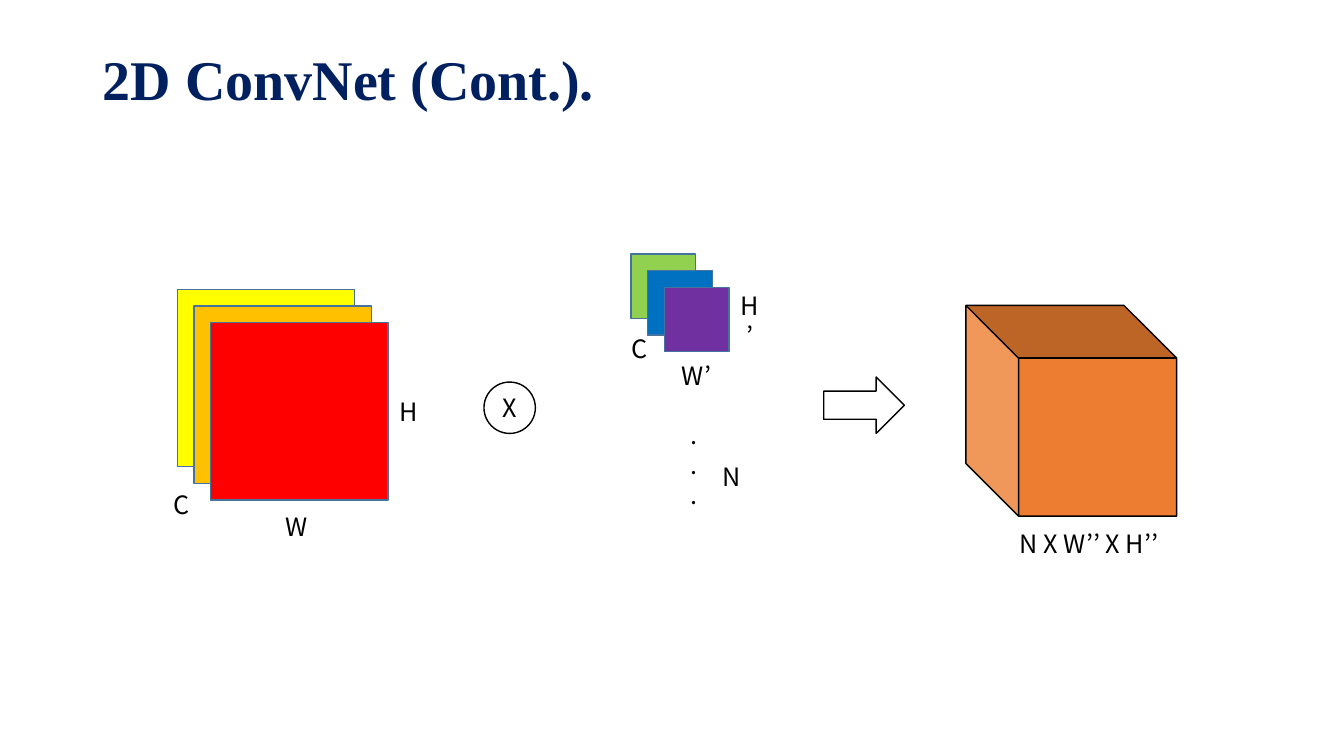
from pptx import Presentation
from pptx.dml.color import RGBColor
from pptx.enum.shapes import MSO_SHAPE as Preset
from pptx.enum.text import MSO_ANCHOR as Anchor, MSO_AUTO_SIZE as AutoSize, PP_ALIGN as Align
from pptx.util import Inches, Pt

COLORS = {
    "title": "002060", "ink": "000000", "edge": "43739E", "volume": "ED7D31",
    "yellow": "FFFF00", "amber": "FFC000", "red": "FF0000",
    "green": "92D050", "blue": "0070C0", "purple": "7030A0",
}
TITLE_FONT = "Times New Roman"
LABEL_FONT = "Noto Sans CJK KR"
LAYER_STEP = 0.165
LABEL_HEIGHT = 0.36


def color(name):
    """Return the palette colour with this name."""
    return RGBColor.from_string(COLORS[name])


def add_run(paragraph, wording, font, size, ink, bold=False):
    """Append one formatted run to a paragraph."""
    run = paragraph.add_run()
    run.text = wording
    run.font.name = font
    run.font.size = Pt(size)
    run.font.bold = bold
    run.font.color.rgb = color(ink)


def write_lines(frame, lines):
    """Write centred label lines into a text frame."""
    frame.word_wrap = True
    frame.vertical_anchor = Anchor.MIDDLE
    for index, line in enumerate(lines):
        paragraph = frame.add_paragraph() if index else frame.paragraphs[0]
        paragraph.alignment = Align.CENTER
        paragraph.line_spacing = Pt(21.6)
        add_run(paragraph, line, LABEL_FONT, 18, "ink")


def add_label(slide, box, *lines):
    """Place a label in a box given in inches."""
    label = slide.shapes.add_textbox(*map(Inches, box))
    write_lines(label.text_frame, lines)


def add_outlined(slide, preset, box, edge="ink", fill=None):
    """Place a preset shape with a thin outline and an optional fill."""
    shape = slide.shapes.add_shape(preset, *map(Inches, box))
    shape.shadow.inherit = False
    shape.line.color.rgb = color(edge)
    shape.line.width = Pt(1)
    if fill:
        shape.fill.solid()
        shape.fill.fore_color.rgb = color(fill)
    else:
        shape.fill.background()
    return shape


def add_title(slide, box):
    """Format the title placeholder in its box."""
    title = slide.shapes.title
    title.left, title.top, title.width, title.height = map(Inches, box)
    frame = title.text_frame
    frame.auto_size = AutoSize.NONE
    frame.vertical_anchor = Anchor.MIDDLE
    heading = frame.paragraphs[0]
    heading.alignment = Align.LEFT
    heading.line_spacing = 0.9
    add_run(heading, "2D ConvNet (Cont.).", TITLE_FONT, 40, "title", bold=True)


def add_channels(slide, left, top, side, layers):
    """Draw overlapping square channels stepping down to the right."""
    for depth, layer in enumerate(layers):
        shift = depth * LAYER_STEP
        add_outlined(slide, Preset.RECTANGLE, (left + shift, top + shift, side, side), "edge", layer)


def add_input(slide, left, top):
    """Draw the input feature map with its dimensions."""
    add_channels(slide, left, top, 1.76, ("yellow", "amber", "red"))
    add_label(slide, (left + 0.72, top + 2.17, 0.92, LABEL_HEIGHT), "W")
    add_label(slide, (left - 0.29, top + 1.95, 0.66, LABEL_HEIGHT), "C")
    add_label(slide, (left + 2.1, top + 1.03, 0.33, LABEL_HEIGHT), "H")


def add_filters(slide, left, top):
    """Draw one filter with its dimensions and the dots standing for N of them."""
    add_channels(slide, left, top, 0.64, ("green", "blue", "purple"))
    add_label(slide, (left + 0.19, top + 1.02, 0.92, LABEL_HEIGHT), "W’")
    add_label(slide, (left + 0.98, top + 0.48, 0.4, LABEL_HEIGHT), "H’")
    add_label(slide, (left - 0.25, top + 0.76, 0.66, LABEL_HEIGHT), "C")
    add_label(slide, (left + 0.44, top + 1.39, 0.36, 1.39), ".", ".", ".")
    add_label(slide, (left + 0.8, top + 2.03, 0.4, LABEL_HEIGHT), "N")


def add_operator(slide, box):
    """Draw the circled convolution sign."""
    operator = add_outlined(slide, Preset.OVAL, box)
    write_lines(operator.text_frame, ["X"])


def add_output(slide, left, top, side):
    """Draw the output volume with its size below."""
    volume = add_outlined(slide, Preset.CUBE, (left, top, side, side), fill="volume")
    volume.rotation = 270
    add_label(slide, (left + 0.34, top + side + 0.09, 1.76, LABEL_HEIGHT), "N X W’’ X H’’")


def main():
    """Build the convolution slide and save it."""
    deck = Presentation()
    deck.slide_width, deck.slide_height = Inches(13.33), Inches(7.5)
    slide = deck.slides.add_slide(deck.slide_layouts[5])
    add_title(slide, (0.92, 0.5, 11.5, 0.64))
    add_input(slide, 1.76, 2.87)
    add_operator(slide, (4.8, 3.79, 0.51, 0.51))
    add_filters(slide, 6.26, 2.52)
    add_outlined(slide, Preset.RIGHT_ARROW, (8.17, 3.74, 0.8, 0.56))
    add_output(slide, 9.58, 3.03, 2.09)
    deck.save("out.pptx")


if __name__ == "__main__":
    main()
